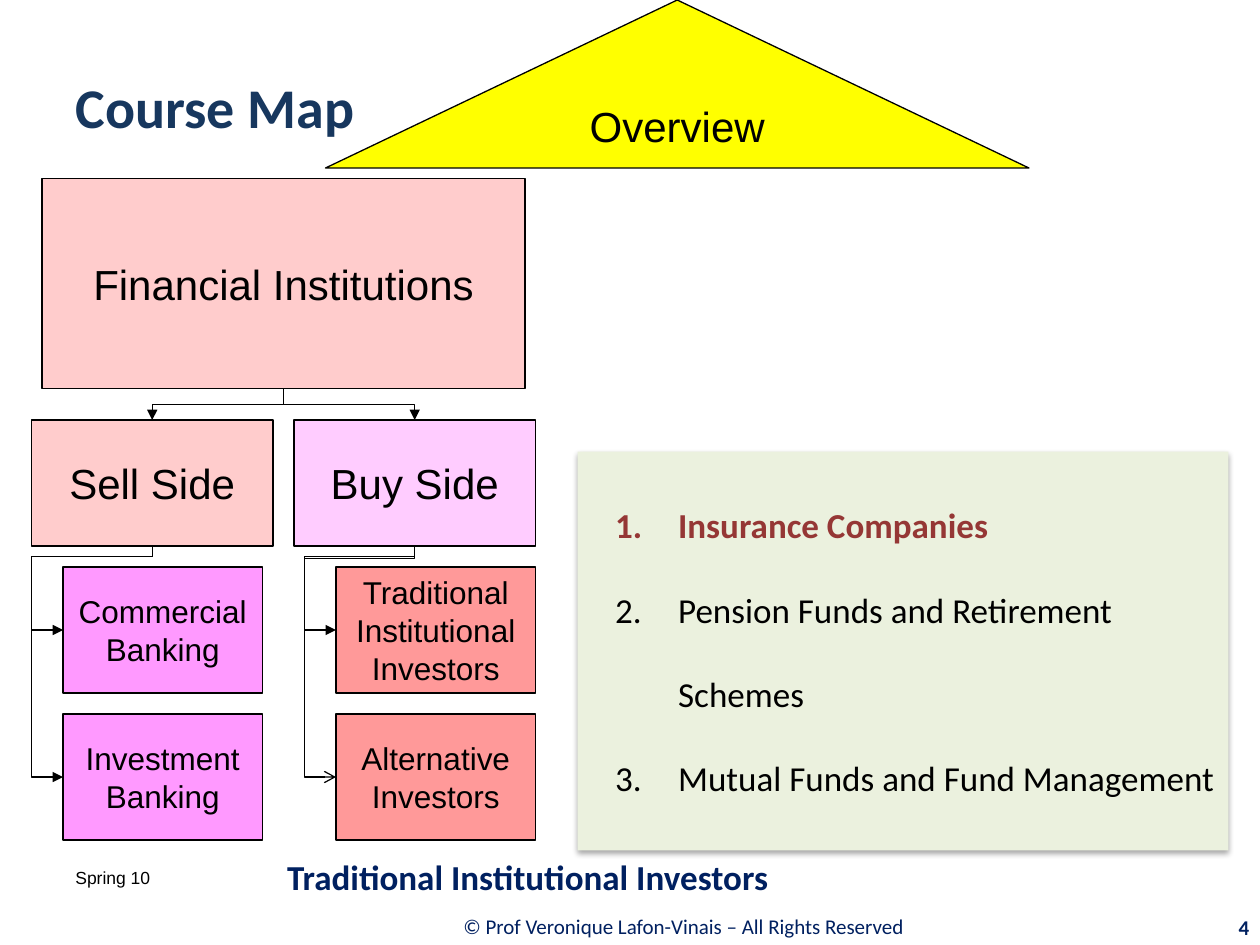
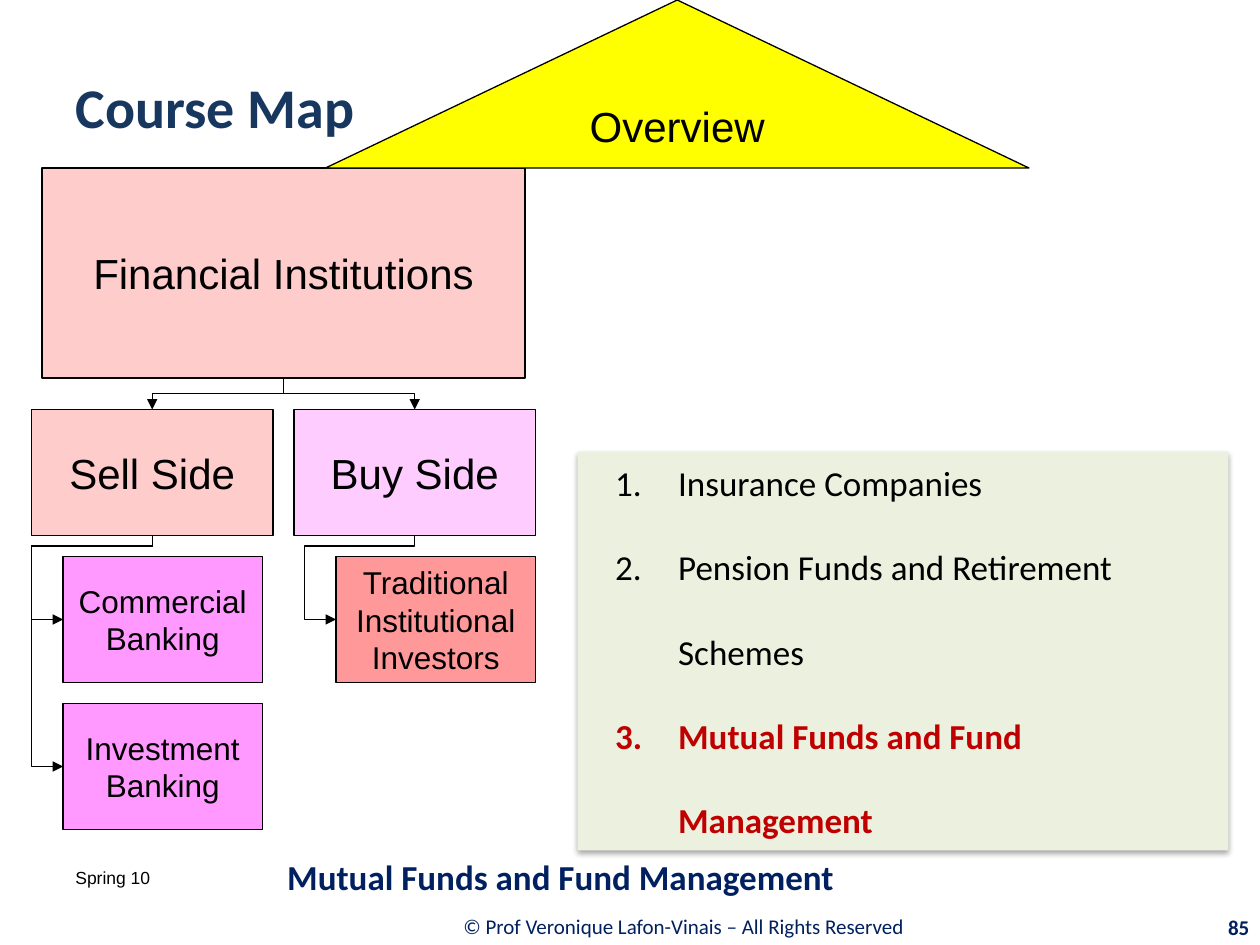
import pptx
import pptx.dml.color
import pptx.enum.shapes
import pptx.enum.text
import pptx.oxml.ns
import pptx.util
from dataclasses import dataclass
from lxml import etree

Pt = pptx.util.Pt
qn = pptx.oxml.ns.qn
Preset = pptx.enum.shapes.MSO_SHAPE
Align = pptx.enum.text.PP_ALIGN
Anchor = pptx.enum.text.MSO_ANCHOR


@dataclass(frozen=True)
class Theme:
    diagram_font: str = "Arial"
    text_font: str = "Calibri"
    black: str = "000000"
    navy: str = "002060"
    title: str = "17375E"
    roof: str = "FFFF00"
    sell: str = "FFCCCC"
    buy: str = "FFCCFF"
    bank: str = "FF99FF"
    investor: str = "FF9999"
    panel: str = "EBF1DE"
    title_size: int = 32
    heading_size: int = 24
    topic_size: int = 20
    box_size: int = 18
    footer_size: int = 12
    date_size: int = 10
    line_width: float = 0.75


THEME = Theme()
TOPICS = ["Insurance Companies", "Pension Funds and Retirement Schemes",
          "Mutual Funds and Fund Management"]


def rgb(color):
    return pptx.dml.color.RGBColor.from_string(color)


def format_runs(paragraph, size, color, font=THEME.text_font, bold=False):
    for run in paragraph.runs:
        run.font.name = font
        run.font.size = Pt(size)
        run.font.bold = bold
        run.font.color.rgb = rgb(color)


def add_label(slide, text, frame, size, color, align=Align.LEFT,
              anchor=Anchor.MIDDLE, **style):
    label = slide.shapes.add_textbox(*map(Pt, frame)).text_frame
    label.word_wrap = True
    label.vertical_anchor = anchor
    label.text = text
    label.paragraphs[0].alignment = align
    format_runs(label.paragraphs[0], size, color, **style)


def add_box(slide, text, frame, fill, size=THEME.box_size, preset=Preset.RECTANGLE):
    """Outlined diagram box with centred text; headings stay on one line."""
    box = slide.shapes.add_shape(preset, *map(Pt, frame))
    box.shadow.inherit = False
    box.fill.solid()
    box.fill.fore_color.rgb = rgb(fill)
    box.line.color.rgb = rgb(THEME.black)
    box.line.width = Pt(THEME.line_width)
    label = box.text_frame
    label.word_wrap = size == THEME.box_size
    label.vertical_anchor = Anchor.MIDDLE
    label.text = text
    label.paragraphs[0].alignment = Align.CENTER
    format_runs(label.paragraphs[0], size, THEME.black, THEME.diagram_font)
    return box


def add_branch(slide, parent, child, to_side=False, drop=6, head="triangle"):
    """Elbow from the parent's bottom to the child's top or left side."""
    start_x, start_y = parent.left + parent.width // 2, parent.top + parent.height
    if to_side:
        end_x, end_y = child.left, child.top + child.height // 2
    else:
        end_x, end_y = child.left + child.width // 2, child.top
    across, down = abs(end_x - start_x), end_y - start_y

    branch = slide.shapes.add_connector(
        pptx.enum.shapes.MSO_CONNECTOR.ELBOW, start_x, start_y, end_x, end_y)
    branch.begin_connect(parent, 2)
    branch.end_connect(child, 1 if to_side else 0)
    branch.line.color.rgb = rgb(THEME.black)
    branch.line.width = Pt(THEME.line_width)

    # The frame is turned a quarter so that the path leaves downwards
    properties = branch._element.spPr
    turn = properties.find(qn("a:xfrm"))
    turn.attrib.clear()
    if end_x > start_x:
        turn.set("rot", "16200000")
        turn.set("flipH", "1")
    else:
        turn.set("rot", "5400000")
    branch.left = (start_x + end_x - down) // 2
    branch.top = (start_y + end_y - across) // 2
    branch.width, branch.height = down, across

    # Side branches run down a rail 18 points left of the child
    if to_side:
        geometry = properties.find(qn("a:prstGeom"))
        geometry.set("prst", "bentConnector4")
        guides = geometry.find(qn("a:avLst"))
        bends = {"adj1": Pt(drop) / down, "adj2": 1 + Pt(18) / across}
        for name, share in bends.items():
            etree.SubElement(guides, qn("a:gd"), name=name,
                             fmla=f"val {round(share * 100000)}")
    etree.SubElement(properties.find(qn("a:ln")), qn("a:tailEnd"), type=head)
    etree.SubElement(properties, qn("a:effectLst"))


def add_topic_panel(slide, current, highlight):
    panel = slide.shapes.add_shape(Preset.RECTANGLE, *map(Pt, (330, 258, 372, 228)))
    panel.fill.solid()
    panel.fill.fore_color.rgb = rgb(THEME.panel)
    panel.line.fill.background()
    panel.shadow.inherit = False
    shadow = etree.SubElement(
        panel._element.spPr.find(qn("a:effectLst")), qn("a:outerShdw"),
        blurRad=str(Pt(3.1)), dist=str(Pt(1.8)), dir="5400000", rotWithShape="0")
    shade = etree.SubElement(shadow, qn("a:srgbClr"), val=THEME.black)
    etree.SubElement(shade, qn("a:alpha"), val="35000")

    topics = panel.text_frame
    topics.word_wrap = True
    topics.vertical_anchor = Anchor.MIDDLE
    topics.text = "\n".join(TOPICS)
    for number, topic in enumerate(topics.paragraphs):
        indents = topic._p.get_or_add_pPr()
        indents.set("marL", str(Pt(50.4)))
        indents.set("indent", str(-Pt(36)))
        etree.SubElement(indents, qn("a:buAutoNum"), type="arabicPeriod")
        topic.alignment = Align.LEFT
        if number > 0:
            topic.line_spacing = 2.0
        chosen = number == current
        format_runs(topic, THEME.topic_size,
                    highlight if chosen else THEME.black, bold=chosen)


def add_institution_map(slide, top, with_alternative):
    """Tree of institutions hanging from the given top edge."""
    side_top, leaf_top, leaf_step = top + 138, top + 222, 84
    heading = THEME.heading_size
    institutions = add_box(slide, "Financial Institutions", (24, top, 276, 120),
                           THEME.sell, heading)
    sell = add_box(slide, "Sell Side", (18, side_top, 138, 72), THEME.sell, heading)
    buy = add_box(slide, "Buy Side", (168, side_top, 138, 72), THEME.buy, heading)
    for side in (buy, sell):
        add_branch(slide, institutions, side)

    for row, bank in enumerate(("Commercial Banking", "Investment Banking")):
        leaf = add_box(slide, bank, (36, leaf_top + row * leaf_step, 114, 72), THEME.bank)
        add_branch(slide, sell, leaf, to_side=True)

    traditional = add_box(slide, "Traditional Institutional Investors",
                          (192, leaf_top, 114, 72), THEME.investor)
    add_branch(slide, buy, traditional, to_side=True)
    if with_alternative:
        alternative = add_box(slide, "Alternative Investors",
                              (192, leaf_top + leaf_step, 114, 72), THEME.investor)
        add_branch(slide, buy, alternative, to_side=True, drop=7, head="arrow")


def add_title(slide):
    title = slide.shapes.title
    title.left, title.top, title.width, title.height = map(Pt, (36, 9.5, 186, 102))
    title.text_frame.text = "Course Map"
    title.text_frame.vertical_anchor = Anchor.MIDDLE
    title.text_frame.paragraphs[0].alignment = Align.LEFT
    format_runs(title.text_frame.paragraphs[0], THEME.title_size, THEME.title, bold=True)


def add_footer(slide, section, page):
    add_label(slide, "© Prof Veronique Lafon-Vinais – All Rights Reserved",
              (157.5, 515, 466.5, 28), THEME.footer_size, THEME.navy, Align.CENTER)
    add_label(slide, "Spring 10", (36, 492, 168, 36), THEME.date_size, THEME.black,
              anchor=Anchor.TOP, font=THEME.diagram_font)
    add_label(slide, section, (157, 484, 563, 34), THEME.topic_size, THEME.navy, bold=True)
    add_label(slide, page, (648.5, 518.5, 72.5, 23), THEME.footer_size, THEME.navy,
              Align.RIGHT, bold=True)


def add_course_map(deck, section, page, map_top, with_alternative, current, highlight):
    slide = deck.slides.add_slide(deck.slide_layouts[5])
    add_title(slide)
    add_institution_map(slide, map_top, with_alternative)
    add_box(slide, "Overview", (186, 0, 402, 96), THEME.roof, THEME.heading_size,
            Preset.FLOWCHART_EXTRACT)
    add_topic_panel(slide, current, highlight)
    add_footer(slide, section, page)


def main():
    deck = pptx.Presentation()
    deck.slide_width, deck.slide_height = Pt(720), Pt(540)

    # Opening of the insurance section
    add_course_map(deck, "Traditional Institutional Investors", "4", map_top=102,
                   with_alternative=True, current=0, highlight="953735")
    # Opening of the mutual funds section
    add_course_map(deck, TOPICS[2], "85", map_top=96,
                   with_alternative=False, current=2, highlight="C00000")
    deck.save("out.pptx")


if __name__ == "__main__":
    main()
